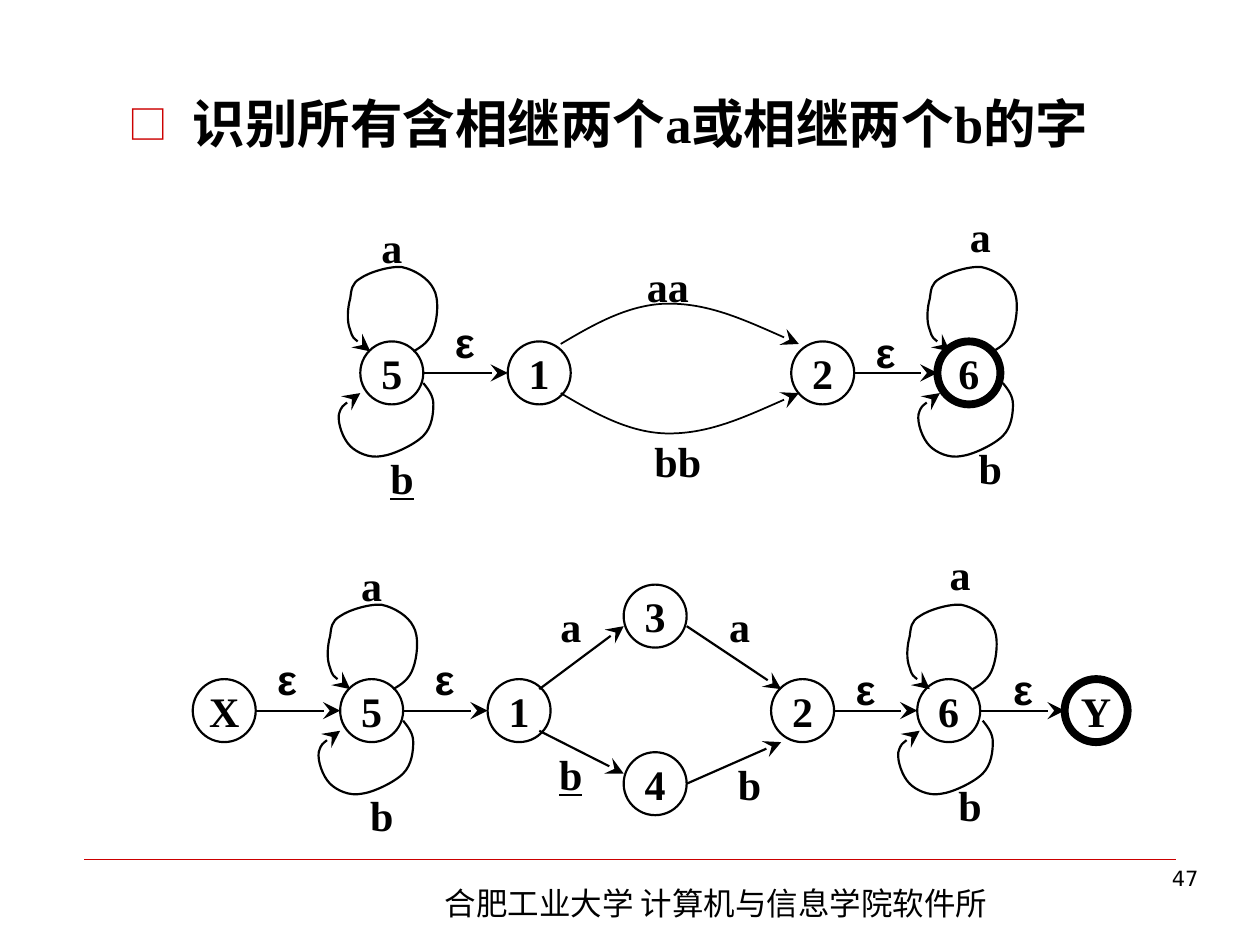
from lxml import etree
from pptx import Presentation
from pptx.dml.color import RGBColor
from pptx.enum.shapes import MSO_CONNECTOR, MSO_SHAPE
from pptx.enum.text import MSO_ANCHOR, PP_ALIGN
from pptx.oxml.ns import qn
from pptx.util import Inches, Pt

COLORS = {"ink": "000000", "accent": "CC0000"}
LATIN, GREEK, CJK, NUMBER = "Times New Roman", "Arial", "Noto Sans CJK SC", "DejaVu Sans"
NODE = 0.5  # diameter of a state, and size of a label box

TITLE = "识别所有含相继两个a或相继两个b的字"
FOOTER = "合肥工业大学 计算机与信息学院软件所"
PAGE_NUMBER = "47"

# Both automata share these parts, placed from the corner of state 5
SHARED_STATES = {"5": (0, 0), "1": (1.17, 0), "2": (3.42, 0), "6": (4.58, 0)}
SHARED_ARROWS = [((0.5, 0.25), (1.17, 0.25)), ((3.92, 0.25), (4.58, 0.25))]
SHARED_LABELS = [("a", 0, -1), ("ε", 0.58, -0.25), ("ε", 3.92, -0.17),
                 ("a", 4.67, -1.09), ("b", 4.75, 0.75)]
LOOP_STARTS = [0, 4.6]
LOOPS = [
    [(0.42, 0.08), (0.49, 0.04), (0.55, 0), (0.58, -0.09),
     (0.61, -0.17), (0.63, -0.34), (0.58, -0.42),
     (0.54, -0.5), (0.43, -0.57), (0.33, -0.59),
     (0.24, -0.6), (0.07, -0.55), (0, -0.5),
     (-0.07, -0.46), (-0.07, -0.41), (-0.08, -0.34),
     (-0.1, -0.27), (-0.11, -0.16), (-0.08, -0.09),
     (-0.06, -0.02), (0.01, 0.03), (0.08, 0.08)],
    [(0.5, 0.33), (0.54, 0.38), (0.58, 0.43), (0.58, 0.5),
     (0.58, 0.57), (0.57, 0.68), (0.5, 0.75),
     (0.43, 0.82), (0.26, 0.9), (0.17, 0.91),
     (0.07, 0.93), (-0.03, 0.88), (-0.08, 0.83),
     (-0.14, 0.77), (-0.18, 0.65), (-0.17, 0.58),
     (-0.15, 0.51), (-0.08, 0.46), (0, 0.41)],
]

AUTOMATA = [
    {"corner": (2.86, 2.71), "final": "6", "states": {}, "arrows": [],
     "labels": [("b", 0.08, 0.83, True), ("aa", 2.19, -0.69), ("bb", 2.27, 0.7)],
     "curves": [
         [(1.59, 0.02), (1.86, -0.14), (2.14, -0.3), (2.45, -0.3),
          (2.77, -0.3), (3.12, -0.14), (3.48, 0.02)],
         [(1.59, 0.41), (1.86, 0.57), (2.14, 0.73), (2.45, 0.73),
          (2.77, 0.73), (3.12, 0.57), (3.48, 0.41)]]},
    {"corner": (2.7, 5.39), "final": "Y", "curves": [],
     "states": {"X": (-1.17, 0), "3": (2.25, -0.75), "4": (2.25, 0.58), "Y": (5.75, 0)},
     "arrows": [((-0.67, 0.25), (0, 0.25)), ((1.58, 0.08), (2.25, -0.42)),
                ((1.58, 0.41), (2.25, 0.75)), ((2.75, -0.42), (3.5, 0.08)),
                ((2.75, 0.83), (3.5, 0.5)), ((5.08, 0.25), (5.75, 0.25))],
     "labels": [("b", 0.08, 0.83), ("ε", -0.67, -0.25), ("ε", 5.17, -0.17),
                ("a", 1.58, -0.67), ("b", 1.58, 0.5, True),
                ("a", 2.92, -0.67), ("b", 3, 0.58)]},
]


def write(shape, text, size=24, font=LATIN, bold=True, underline=False,
          align=PP_ALIGN.CENTER, anchor=MSO_ANCHOR.MIDDLE, wrap=False):
    frame = shape.text_frame
    frame.word_wrap = wrap
    frame.vertical_anchor = anchor
    if not wrap and len(text) > 1:  # a longer label needs the full box width
        frame.margin_left = frame.margin_right = 0
    para = frame.paragraphs[0]
    para.alignment = align
    span = para.add_run()
    span.text = text
    span.font.size = Pt(size)
    span.font.name = font
    span.font.bold = bold
    span.font.underline = underline
    span.font.color.rgb = RGBColor.from_string(COLORS["ink"])
    east_asian = etree.SubElement(span.font._element, qn("a:ea"))
    east_asian.set("typeface", CJK)
    return para


def add_text(page, at, text, **style):
    box = page.shapes.add_textbox(*map(Inches, at))
    write(box, text, **style)


def style_line(shape, width=1.25, color="ink", arrow=False):
    shape.line.width = Pt(width)
    shape.line.color.rgb = RGBColor.from_string(COLORS[color])
    if arrow:
        etree.SubElement(shape.line._get_or_add_ln(), qn("a:tailEnd"),
                         type="stealth", w="lg", len="lg")


def add_line(page, start, end, **style):
    line = page.shapes.add_connector(MSO_CONNECTOR.STRAIGHT, *map(Inches, start + end))
    style_line(line, **style)
    etree.SubElement(line._element.spPr, qn("a:effectLst"))


def add_curve(page, points, width):
    """Draw a start point followed by cubic triples (two controls, one end)."""
    points = [(Inches(x), Inches(y)) for x, y in points]
    builder = page.shapes.build_freeform(*points[0])
    builder.add_line_segments(points[1:], close=False)
    curve = builder.convert_to_shape()
    segments = list(curve._element.iter(qn("a:lnTo")))
    outline = segments[0].getparent()
    for first in range(0, len(segments), 3):
        bezier = etree.SubElement(outline, qn("a:cubicBezTo"))
        for segment in segments[first:first + 3]:
            bezier.append(segment[0])
            outline.remove(segment)
    curve.fill.background()
    curve.shadow.inherit = False
    style_line(curve, width, arrow=True)


def add_state(page, name, left, top, final):
    state = page.shapes.add_shape(MSO_SHAPE.OVAL, *map(Inches, (left, top, NODE, NODE)))
    state.fill.background()
    state.shadow.inherit = False
    style_line(state, 4.5 if final else 1.25)
    write(state, name)


def add_automaton(page, automaton):
    corner_x, corner_y = automaton["corner"]

    def place(point, shift=0):
        return corner_x + shift + point[0], corner_y + point[1]

    for name, point in {**SHARED_STATES, **automaton["states"]}.items():
        add_state(page, name, *place(point), final=name == automaton["final"])
    for shift in LOOP_STARTS:
        for loop in LOOPS:
            add_curve(page, [place(point, shift) for point in loop], 1.25)
    for curve in automaton["curves"]:
        add_curve(page, [place(point) for point in curve], 1)
    for start, end in SHARED_ARROWS + automaton["arrows"]:
        add_line(page, place(start), place(end), arrow=True)
    for text, x, y, *underline in SHARED_LABELS + automaton["labels"]:
        add_text(page, (*place((x, y)), NODE, NODE), text,
                 font=GREEK if text == "ε" else LATIN, underline=bool(underline))


def set_title(page):
    title = page.shapes.title
    title.left, title.top, title.width, title.height = map(Inches, (0.92, 0.67, 8.5, 0.67))
    para = write(title, TITLE, size=30, align=PP_ALIGN.LEFT, anchor=MSO_ANCHOR.TOP, wrap=True)
    properties = para._p.get_or_add_pPr()
    properties.set("marL", str(Inches(0.51)))
    properties.set("indent", str(-Inches(0.51)))
    bullet_color = etree.SubElement(properties, qn("a:buClr"))
    etree.SubElement(bullet_color, qn("a:srgbClr"), val=COLORS["accent"])
    etree.SubElement(properties, qn("a:buSzPct"), val="75000")
    etree.SubElement(properties, qn("a:buFont"), typeface=CJK)
    etree.SubElement(properties, qn("a:buChar"), char="□")


def main():
    deck = Presentation()
    deck.slide_width, deck.slide_height = Inches(10), Inches(7.5)
    page = deck.slides.add_slide(deck.slide_layouts[5])
    add_line(page, (0.67, 6.82), (9.33, 6.82), width=0.25, color="accent")
    add_text(page, (3.43, 6.97, 4.72, 0.4), FOOTER, size=18, font=CJK, bold=False,
             align=PP_ALIGN.LEFT, anchor=MSO_ANCHOR.TOP, wrap=True)
    add_text(page, (7.44, 6.82, 2.17, 0.52), PAGE_NUMBER, size=12, font=NUMBER, bold=False,
             align=PP_ALIGN.RIGHT, anchor=MSO_ANCHOR.TOP, wrap=True)
    set_title(page)
    for automaton in AUTOMATA:
        add_automaton(page, automaton)
    deck.save("out.pptx")


if __name__ == "__main__":
    main()
